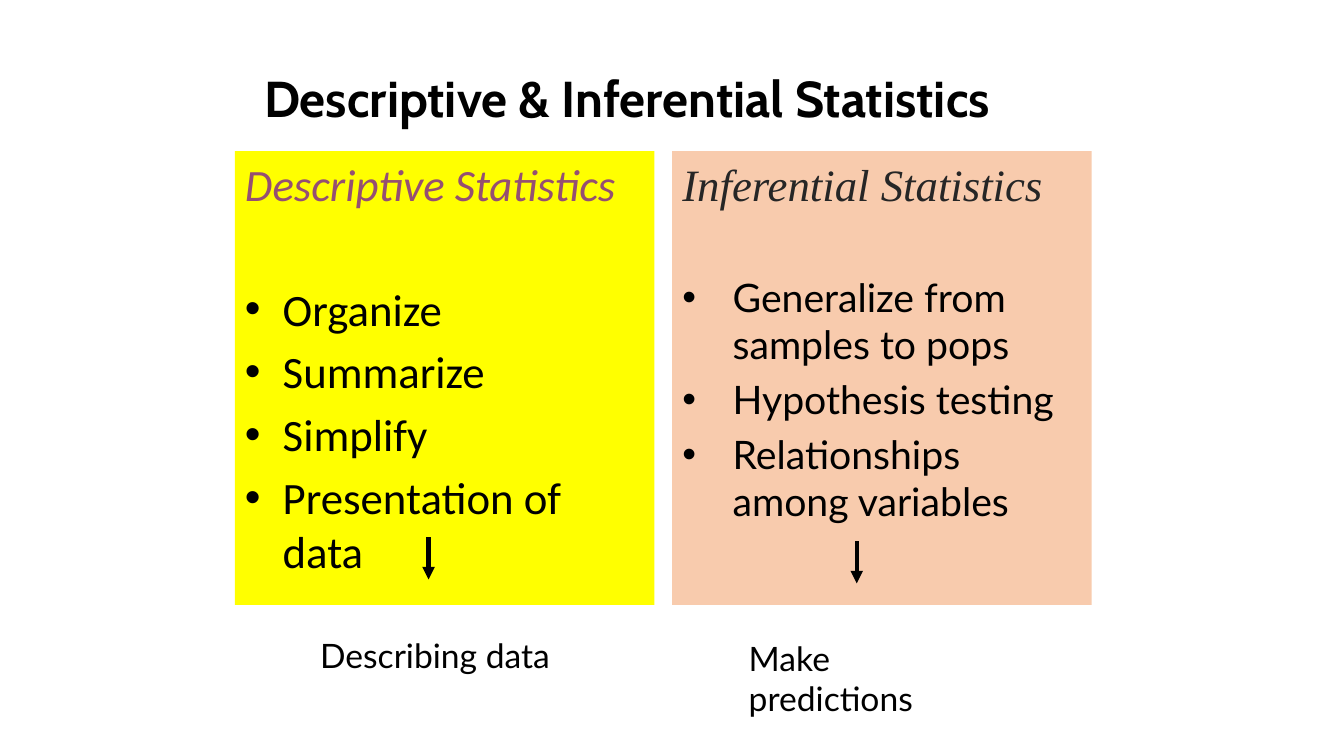
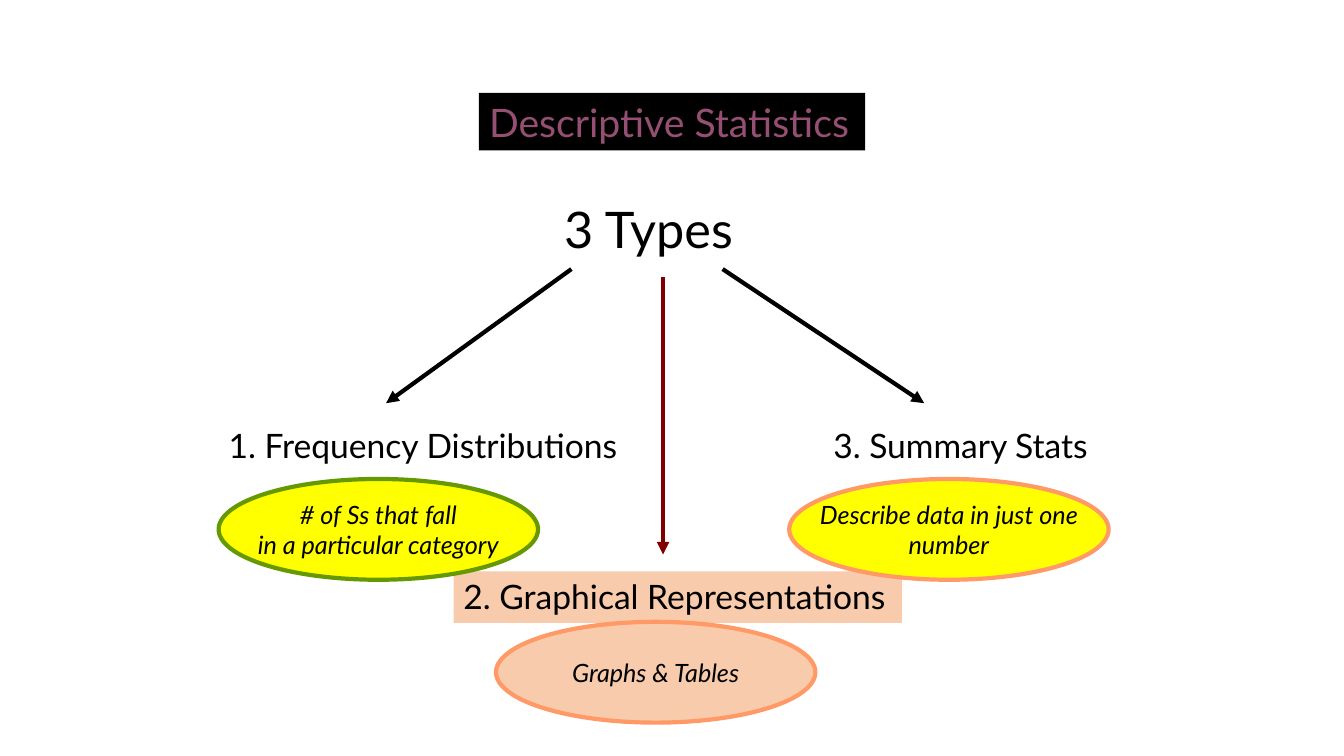
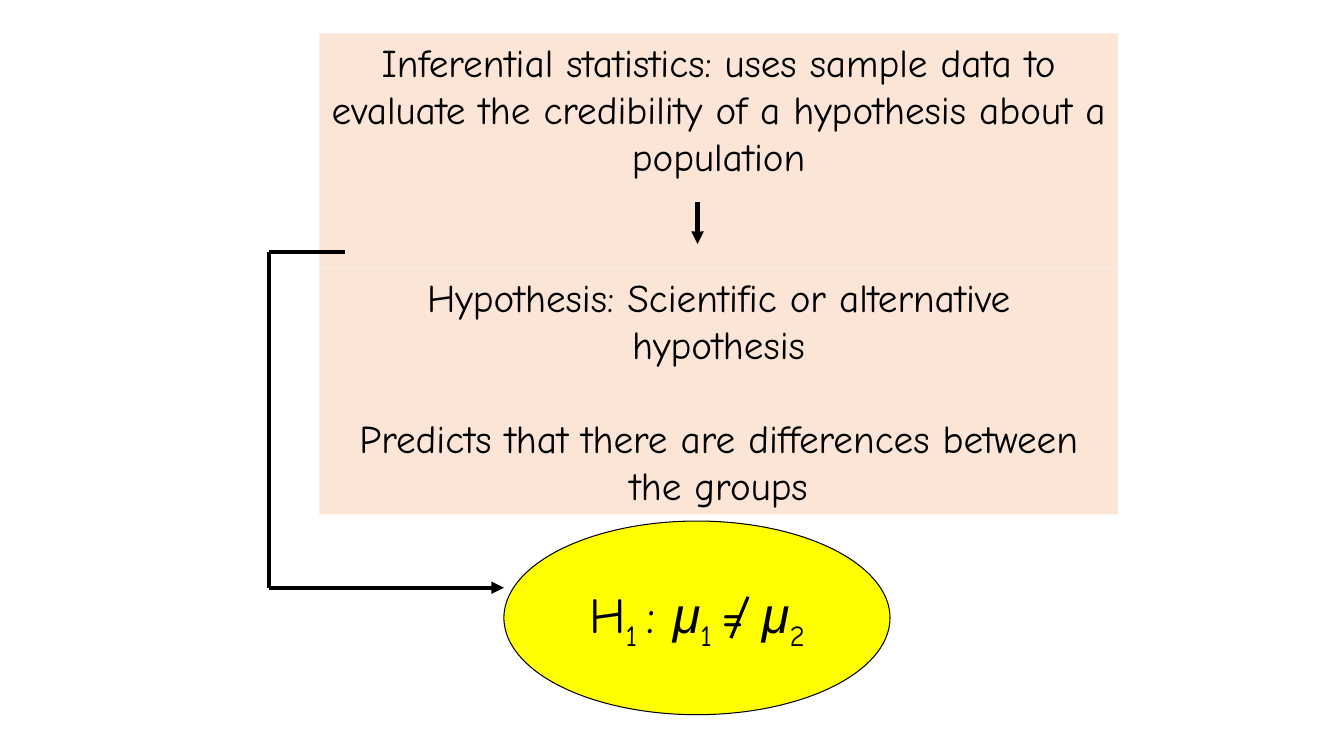
from dataclasses import dataclass

from lxml import etree
from pptx import Presentation
from pptx import util as u
from pptx.dml.color import RGBColor
from pptx.enum import shapes, text
from pptx.oxml import ns

LEFT, CENTER = text.PP_ALIGN.LEFT, text.PP_ALIGN.CENTER


@dataclass(frozen=True)
class Theme:
    black: str = "000000"
    charcoal: str = "262626"
    plum: str = "954F72"
    maroon: str = "800000"
    yellow: str = "FFFF00"
    peach: str = "F8CBAD"
    pale_peach: str = "FBE5D6"
    green: str = "669900"
    orange: str = "FF9966"
    font: str = "Lato"
    title_font: str = "Cabin"
    list_font: str = "Calibri"
    serif: str = "Times New Roman"
    hand: str = "Comic Neue"
    symbol: str = "Arial"
    big: int = 36
    heading: int = 32
    body: int = 28
    label: int = 24
    note: int = 18
    line: float = 3


T = Theme()


def rgb(color):
    return RGBColor.from_string(color)


def style(font, size, color=T.black, name=T.font, bold=False, italic=False):
    font.size, font.name = u.Pt(size), name
    font.bold, font.italic = bold, italic
    font.color.rgb = rgb(color)


def set_bullet(p, indent=0):
    """Hang a bullet by indent cm; zero turns the bullet off."""
    pPr = p._p.get_or_add_pPr()
    pPr.set("marL", str(u.Cm(indent)))
    pPr.set("indent", str(-u.Cm(indent)))
    if indent:
        etree.SubElement(pPr, ns.qn("a:buFont")).set("typeface", "Arial")
        etree.SubElement(pPr, ns.qn("a:buChar")).set("char", "•")
    else:
        etree.SubElement(pPr, ns.qn("a:buNone"))


class Deck:
    def __init__(self):
        self.prs = Presentation()
        self.prs.slide_width, self.prs.slide_height = u.Cm(33.87), u.Cm(19.05)
        self.s = None

    def slide(self, layout):
        self.s = self.prs.slides.add_slide(self.prs.slide_layouts[layout])

    def set_words(self, sp, words, size, align=LEFT, wrap=True,
                  anchor=text.MSO_ANCHOR.TOP, **look):
        """Fill a shape with one paragraph for each line of words."""
        tf = sp.text_frame
        tf.text = words
        tf.word_wrap, tf.vertical_anchor = wrap, anchor
        tf.auto_size = text.MSO_AUTO_SIZE.NONE
        for p in tf.paragraphs:
            p.alignment, p.space_before = align, u.Pt(0)
            for r in p.runs:
                style(r.font, size, **look)
        return sp

    def paint(self, sp, fill):
        sp.fill.solid()
        sp.fill.fore_color.rgb = rgb(fill)

    def place(self, idx, box, fill=None):
        """Move a placeholder to box, given in cm."""
        sp = self.s.placeholders[idx]
        sp.left, sp.top, sp.width, sp.height = map(u.Cm, box)
        if fill:
            self.paint(sp, fill)
        return sp

    def title(self, box, words, size, fill=None, **look):
        self.set_words(self.place(0, box, fill), words, size, **look)

    def body(self, idx, box, fill, words, size, gap, **look):
        """Plain paragraphs, each after the first set off by gap points."""
        sp = self.set_words(self.place(idx, box, fill), words, size, **look)
        for i, p in enumerate(sp.text_frame.paragraphs):
            set_bullet(p)
            p.space_before = u.Pt(gap if i else 0)

    def listing(self, idx, box, fill, heading, heading_look, items, size,
                indent, first_gap, name):
        """A heading over a bulleted list."""
        sp = self.set_words(self.place(idx, box, fill),
                            "\n".join([heading, *items]), size, name=name)
        head, *rest = sp.text_frame.paragraphs
        set_bullet(head)
        style(head.runs[0].font, T.heading, italic=True, **heading_look)
        for i, p in enumerate(rest):
            set_bullet(p, indent)
            p.space_before = u.Pt(0.2 * size if i else first_gap)

    def label(self, box, words, size=T.label, fill=None):
        sp = self.s.shapes.add_textbox(*map(u.Cm, box))
        if fill:
            self.paint(sp, fill)
        self.set_words(sp, words, size, wrap=False)

    def ellipse(self, box, fill, outline, words, size, width=T.line, **look):
        sp = self.s.shapes.add_shape(shapes.MSO_SHAPE.OVAL, *map(u.Cm, box))
        sp.shadow.inherit = False
        self.paint(sp, fill)
        sp.line.color.rgb, sp.line.width = rgb(outline), u.Pt(width)
        return self.set_words(sp, words, size, CENTER, False,
                              text.MSO_ANCHOR.MIDDLE, **look)

    def formula(self, sp, parts, size):
        """Add (text, kind) parts; kind is text, sub or symbol."""
        p = sp.text_frame.paragraphs[0]
        for words, kind in parts:
            r = p.add_run()
            r.text = words
            symbol = kind == "symbol"
            style(r.font, size, name=T.symbol if symbol else T.hand, italic=symbol)
            if kind == "sub":
                r._r.get_or_add_rPr().set("baseline", "-25000")

    def line(self, start, end, color=T.black, width=T.line, arrow=True):
        c = self.s.shapes.add_connector(shapes.MSO_CONNECTOR.STRAIGHT,
                                        *map(u.Cm, (*start, *end)))
        c.line.color.rgb, c.line.width = rgb(color), u.Pt(width)
        spPr = c._element.spPr
        if arrow:
            tail = etree.SubElement(spPr.find(ns.qn("a:ln")), ns.qn("a:tailEnd"))
            tail.set("type", "triangle")
        etree.SubElement(spPr, ns.qn("a:effectLst"))


def comparison(d):
    d.slide(3)
    d.title((6.4, 1.57, 20.96, 1.8), "Descriptive & Inferential Statistics",
            T.big, name=T.title_font, bold=True)
    top, width, height = 3.81, 10.57, 11.43
    d.listing(1, (5.92, top, width, height), T.yellow, "Descriptive Statistics",
              dict(color=T.plum, name=T.list_font),
              ["Organize", "Summarize", "Simplify", "Presentation of data"],
              T.heading, 0.95, 51, T.list_font)
    d.listing(2, (16.94, top, width, height), T.peach, "Inferential Statistics",
              dict(color=T.charcoal, name=T.serif),
              ["Generalize from samples to pops", "Hypothesis testing",
               "Relationships among variables"],
              T.body, 1.27, 45, T.font)
    d.label((7.82, 15.88, 6.3, 1.27), "Describing data")
    d.label((18.62, 15.95, 6.86, 2.31), "Make\vpredictions")
    for x, y in ((10.8, 13.54), (21.59, 13.64)):
        d.line((x, y), (x, y + 1.06))


def three_types(d):
    d.slide(5)
    d.title((12.07, 2.34, 9.73, 1.45), "Descriptive Statistics", T.body,
            T.black, color=T.plum)
    d.label((13.97, 4.88, 4.9, 1.78), "3 Types", T.big)
    d.line((14.4, 6.78), (9.73, 10.16))
    d.line((16.71, 6.99), (16.71, 13.97), T.maroon)
    d.line((18.21, 6.78), (23.29, 10.16))
    d.label((5.51, 10.57, 10.36, 1.3), "1. Frequency Distributions")
    d.label((20.75, 10.59, 7.21, 1.3), "3. Summary Stats")
    d.label((11.43, 14.4, 11.3, 1.3), "2. Graphical Representations", fill=T.peach)
    for x, y, fill, outline, words in (
            (5.51, 12.07, T.yellow, T.green,
             "# of Ss that fall\nin a particular category"),
            (19.89, 12.07, T.yellow, T.orange,
             "Describe data in just one\nnumber"),
            (12.5, 15.67, T.peach, T.orange, "Graphs & Tables")):
        d.ellipse((x, y, 8.05, 2.54), fill, outline, words, T.note, italic=True)


def hypothesis(d):
    d.slide(1)
    left, width = 8.05, 20.12
    d.title((left, 0.84, width, 5.92),
            "Inferential statistics: uses sample data to evaluate the "
            "credibility of a hypothesis about a population",
            T.body, T.pale_peach, name=T.hand, align=CENTER)
    d.body(1, (left, 6.76, width, 6.2), T.pale_peach,
           "Hypothesis: Scientific or alternative\vhypothesis\n"
           "Predicts that there are differences between the groups",
           T.body, 33.6, name=T.hand, align=CENTER)
    sp = d.ellipse((12.7, 13.13, 9.73, 4.88), T.yellow, T.black, "", T.big, 0.75)
    d.formula(sp, [("H", "text"), ("1 ", "sub"), (": ", "text"),
                   ("μ", "symbol"), ("1 ", "sub"), ("= ", "text"),
                   ("μ", "symbol"), ("2", "sub")], T.big)
    bracket = [(8.69, 6.35), (6.78, 6.35), (6.78, 14.81), (12.7, 14.81)]
    for start, end in zip(bracket, bracket[1:]):
        d.line(start, end, arrow=end == bracket[-1])
    d.line((17.58, 5.08), (17.58, 6.15))
    d.line((18.85, 15.04), (18.42, 16.08), width=2.25, arrow=False)


def main():
    d = Deck()
    comparison(d)
    three_types(d)
    hypothesis(d)
    d.prs.save("out.pptx")


if __name__ == "__main__":
    main()
